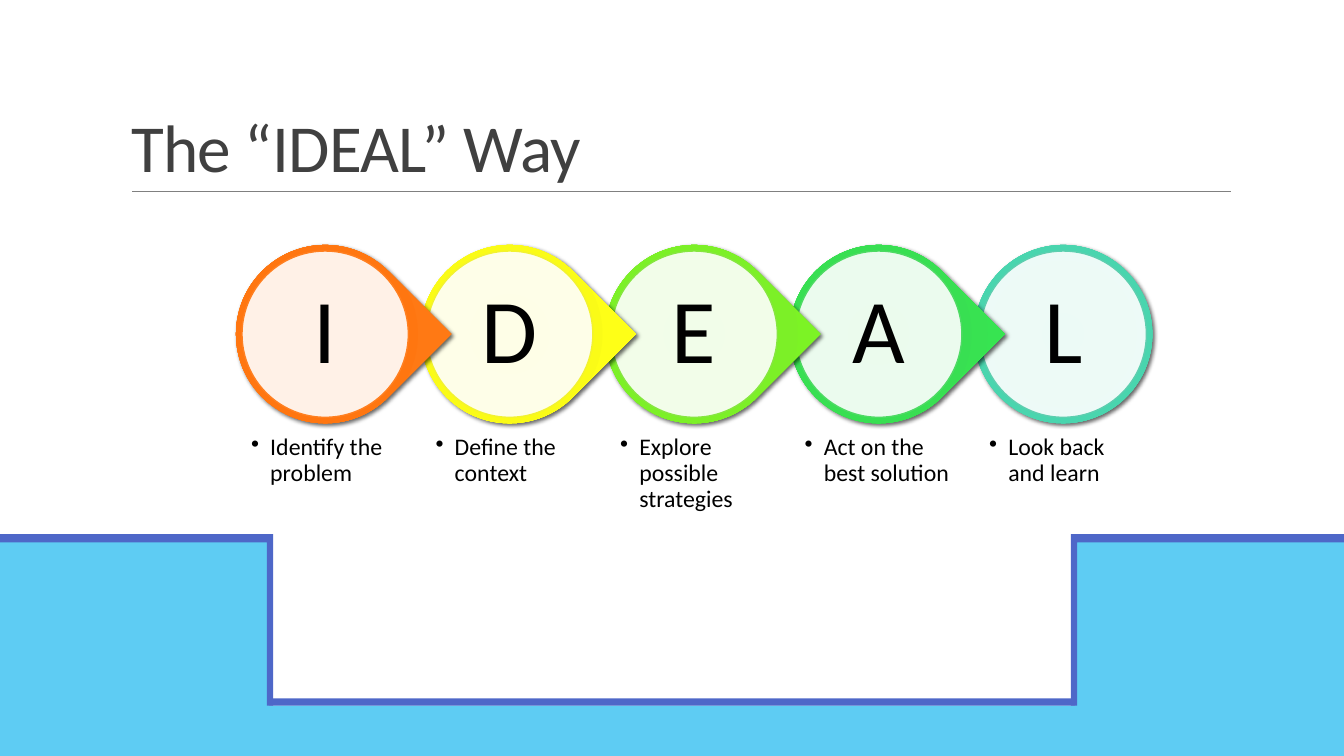
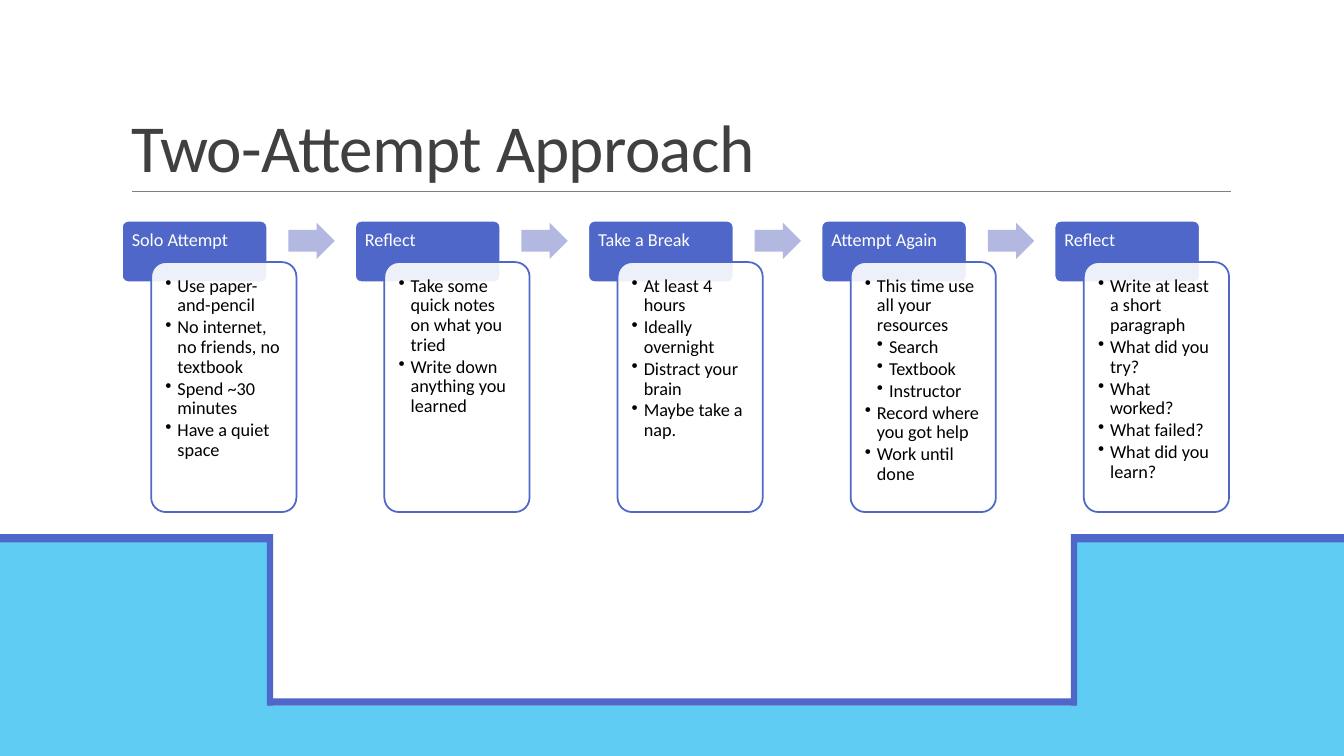
import pptx
import pptx.util
import pptx.oxml
import pptx.oxml.ns
import pptx.dml.color
import pptx.enum.shapes
import pptx.enum.text
from lxml import etree

Inches, Pt = pptx.util.Inches, pptx.util.Pt
RGB = pptx.dml.color.RGBColor
KIND = pptx.enum.shapes.MSO_SHAPE
ANCHOR = pptx.enum.text.MSO_ANCHOR
ALIGN = pptx.enum.text.PP_ALIGN
qn = pptx.oxml.ns.qn

SKY = RGB(0x5E, 0xCC, 0xF3)
INDIGO = RGB(0x4E, 0x67, 0xC8)
LAVENDER = RGB(0xB2, 0xB8, 0xE0)
RULE_GRAY = RGB(0x80, 0x80, 0x80)
TITLE_GRAY = RGB(0x40, 0x40, 0x40)
WHITE = RGB(0xFF, 0xFF, 0xFF)
BLACK = RGB(0, 0, 0)
FONT = "Calibri"
WIDTH, HEIGHT = 13.33, 7.5


def place(slide, kind, left, top, width, height, fill, line=None, weight=1.25, opacity=100, adjust=()):
    shape = slide.shapes.add_shape(kind, Inches(left), Inches(top), Inches(width), Inches(height))
    shape.shadow.inherit = False
    shape.fill.solid()
    shape.fill.fore_color.rgb = fill
    if opacity < 100:
        tint = shape.element.spPr.find(qn("a:solidFill"))[0]
        etree.SubElement(tint, qn("a:alpha")).set("val", str(opacity * 1000))
    if line is None:
        shape.line.fill.background()
    else:
        shape.line.color.rgb = line
        shape.line.width = Pt(weight)
    for number, value in enumerate(adjust):
        shape.adjustments[number] = value
    return shape


def write(shape, lines, size, color=BLACK, align=ALIGN.LEFT, anchor=ANCHOR.TOP, inset=(0.1, 0.1),
          spacing=0.9, after=0, indent=0, tracking=0):
    frame = shape.text_frame
    frame.word_wrap = True
    frame.auto_size = pptx.enum.text.MSO_AUTO_SIZE.NONE
    frame.vertical_anchor = anchor
    frame.margin_left = frame.margin_right = Inches(inset[0])
    frame.margin_top = frame.margin_bottom = Inches(inset[1])
    for number, line in enumerate(lines):
        paragraph = frame.paragraphs[0] if number == 0 else frame.add_paragraph()
        paragraph.alignment = align
        paragraph.line_spacing = spacing
        paragraph.space_before = Pt(0)
        paragraph.space_after = Pt(after)
        if indent:
            paragraph.level = 1 + line.count("\t")
            properties = paragraph._p.get_or_add_pPr()
            properties.set("marL", str(Inches(indent * paragraph.level)))
            properties.set("indent", str(-Inches(indent)))
            etree.SubElement(properties, qn("a:buChar")).set("char", "•")
        run = paragraph.add_run()
        run.text = line.strip()
        run.font.name = FONT
        run.font.size = Pt(size)
        run.font.color.rgb = color
        if tracking:
            run._r.get_or_add_rPr().set("spc", str(int(tracking * 100)))


deck = pptx.Presentation()
deck.slide_width, deck.slide_height = Inches(WIDTH), Inches(HEIGHT)
layout = deck.slide_layouts[5]
heading = layout.placeholders[0]
heading.left, heading.top = Inches(1.2), Inches(0.31)
heading.width, heading.height = Inches(11), Inches(1.59)

ideal, attempts = [deck.slides.add_slide(layout) for _ in range(2)]
for slide, title in ((ideal, "The “IDEAL” Way"), (attempts, "Two-Attempt Approach")):
    write(slide.shapes.title, [title], size=48, color=TITLE_GRAY, anchor=ANCHOR.BOTTOM,
          inset=(0.1, 0.05), spacing=0.85, tracking=-0.5)

BANK_WIDTH, LEDGE_WIDTH = 2.66, 2.71
scenery = [
    place(ideal, KIND.RECTANGLE, 0, 7, WIDTH, 0.5, SKY),
    place(ideal, KIND.RECTANGLE, 0, 6.93, WIDTH, 0.07, INDIGO),
]
rule = ideal.shapes.add_connector(pptx.enum.shapes.MSO_CONNECTOR.STRAIGHT,
                                  Inches(1.31), Inches(1.9), Inches(12.21), Inches(1.9))
rule.line.color.rgb = RULE_GRAY
rule.line.width = Pt(0.5)
etree.SubElement(rule.element.spPr, qn("a:effectLst"))
scenery.append(rule)
for on_right in (True, False):
    bank_left = WIDTH - BANK_WIDTH if on_right else 0
    ledge_left = WIDTH - LEDGE_WIDTH if on_right else 0
    bank = place(ideal, KIND.RECTANGLE, bank_left, 5.39, BANK_WIDTH, 2.11, SKY, line=SKY)
    ledge = place(ideal, KIND.RECTANGLE, ledge_left, 5.3, LEDGE_WIDTH, 1.7, INDIGO)
    ledge.rotation = 180
    outline = ledge.element.spPr.find(qn("a:prstGeom"))
    outline.set("prst", "corner")
    for name, thickness in (("adj1", 4800), ("adj2", 3700)):
        etree.SubElement(outline.find(qn("a:avLst")), qn("a:gd"), name=name, fmla=f"val {thickness}")
    if on_right:
        ledge.element.spPr.find(qn("a:xfrm")).set("flipH", "1")
    scenery += [bank, ledge]
for piece in scenery:
    layout.shapes.element.append(piece.element)

letters = [
    ("I", "Identify the problem", "FF8021", ("FF750D", "FF7610", "FF7914", "FF8021")),
    ("D", "Define the context", "F2F230", ("FCFD12", "FAFB17", "FEFF17", "FBFC27")),
    ("E", "Explore possible strategies", "86E640", ("79ED24", "7BEC28", "7CF325", "85EE37")),
    ("A", "Act on the best solution", "4EDA64", ("36DE4F", "39DD52", "37E451", "48E15F")),
    ("L", "Look back and learn", "5DCEAF", ("47D0AA", "4ACFAB", "49D5AE", "57D4B2")),
]
DROP, DISK, DROP_TOP, DROP_PITCH = 1.77, 1.65, 2.43, 1.83
RIM = (DROP - DISK) / 2
for column, (letter, meaning, edge, shades) in reversed(list(enumerate(letters))):
    left = 2.34 + column * DROP_PITCH
    last = column == len(letters) - 1
    drop = place(ideal, KIND.OVAL if last else KIND.TEAR, left, DROP_TOP, DROP, DROP, RGB.from_string(shades[1]))
    if not last:
        drop.rotation = 45
    properties = drop.element.spPr
    gradient = etree.Element(qn("a:gradFill"), rotWithShape="1")
    stops = etree.SubElement(gradient, qn("a:gsLst"))
    for position, shade in zip((0, 34, 70, 100), shades):
        stop = etree.SubElement(stops, qn("a:gs"), pos=str(position * 1000))
        etree.SubElement(stop, qn("a:srgbClr"), val=shade)
    radial = etree.SubElement(gradient, qn("a:path"))
    radial.set("path", "circle")
    etree.SubElement(radial, qn("a:fillToRect"), l="100000", t="100000", r="100000", b="100000")
    properties.replace(properties.find(qn("a:solidFill")), gradient)
    shadow = etree.SubElement(properties.find(qn("a:effectLst")), qn("a:outerShdw"),
                              blurRad=str(Pt(3)), dist=str(Pt(2)), dir=str(45 * 60000), rotWithShape="0")
    tint = etree.SubElement(shadow, qn("a:srgbClr"), val="000000")
    etree.SubElement(tint, qn("a:alpha"), val="60000")

    disk = place(ideal, KIND.OVAL, left + RIM, DROP_TOP + RIM, DISK, DISK, WHITE,
                 line=RGB.from_string(edge), weight=1, opacity=90)
    write(disk, [letter], size=65, align=ALIGN.CENTER, anchor=ANCHOR.MIDDLE, inset=(0.09, 0.09))
    caption = ideal.shapes.add_textbox(Inches(left + RIM), Inches(4.23), Inches(DISK), Inches(0.97))
    write(caption, [meaning], size=17, inset=(0.09, 0.09), indent=0.19)

steps = [
    ("Solo Attempt", ["Use paper-and-pencil", "No internet, no friends, no textbook",
                      "Spend ~30 minutes", "Have a quiet space"]),
    ("Reflect", ["Take some quick notes on what you tried", "Write down anything you learned"]),
    ("Take a Break", ["At least 4 hours", "Ideally overnight", "Distract your brain", "Maybe take a nap."]),
    ("Attempt Again", ["This time use all your resources", "\tSearch", "\tTextbook", "\tInstructor",
                       "Record where you got help", "Work until done"]),
    ("Reflect", ["Write at least a short paragraph", "What did you try?", "What worked?",
                 "What failed?", "What did you learn?"]),
]
STEP_WIDTH, STEP_PITCH = 1.44, 9.25 / 4
for column, (step, points) in enumerate(steps):
    left = 1.21 + column * STEP_PITCH
    header = place(attempts, KIND.ROUNDED_RECTANGLE, left, 2.19, STEP_WIDTH, 0.61, INDIGO,
                   line=WHITE, adjust=(0.1,))
    write(header, [step], size=13, color=WHITE, inset=(0.08, 0.08))
    card = place(attempts, KIND.ROUNDED_RECTANGLE, left + 0.29, 2.6, STEP_WIDTH, 2.48, WHITE,
                 line=INDIGO, opacity=90, adjust=(0.1,))
    write(card, points, size=13, after=1.6, indent=0.12)
    if column < len(steps) - 1:
        place(attempts, KIND.RIGHT_ARROW, left + 1.65, 2.21, 0.46, 0.36, LAVENDER, adjust=(0.6, 0.5))

deck.save("out.pptx")
